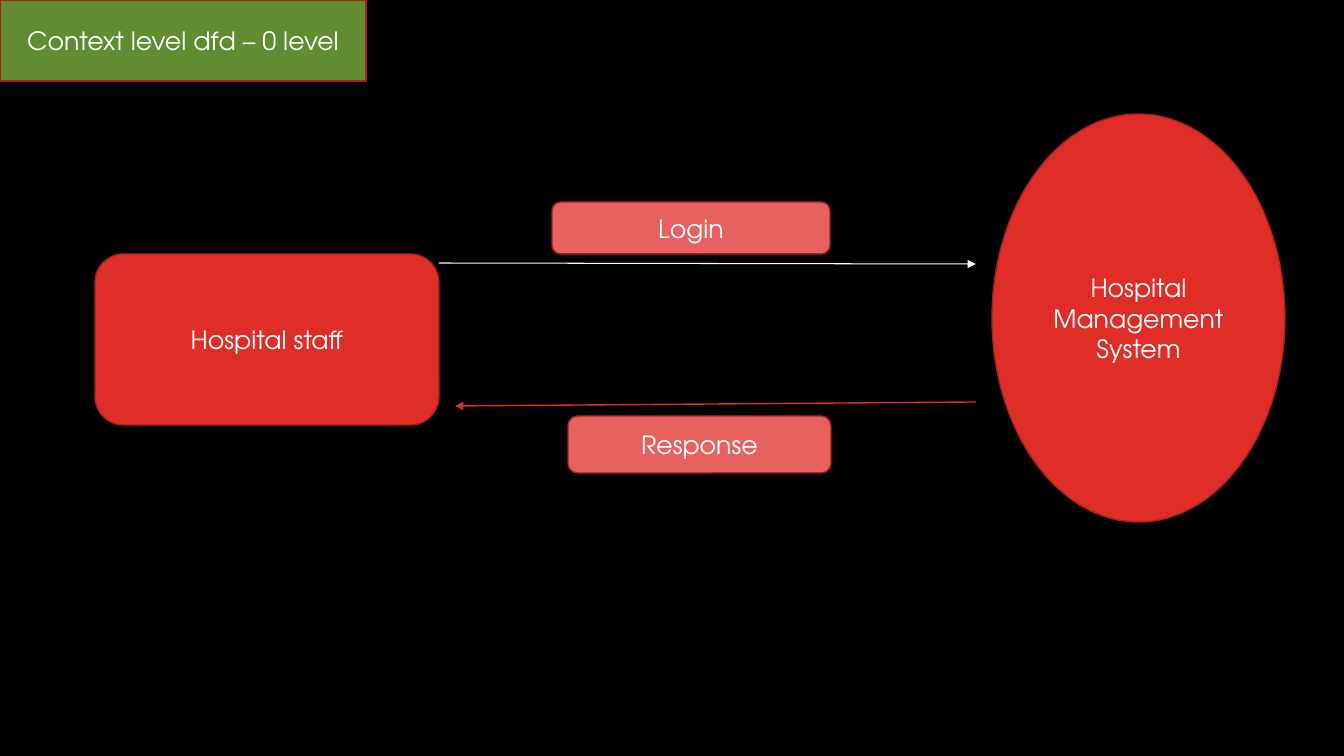
import pptx
import pptx.dml.color
import pptx.enum.shapes
import pptx.enum.text
import pptx.oxml.ns
import pptx.util
from lxml import etree

SHAPES = pptx.enum.shapes.MSO_SHAPE
RED = "DF2E28"
PALE_RED = "E7625E"
DARK_RED = "A5221E"
GREEN = "618C32"
WHITE = "FFFFFF"
BLACK = "000000"


def color(value):
    return pptx.dml.color.RGBColor.from_string(value)


def px(length):
    return round(length * 914400 / 100.8)


class Diagram:
    font_name = "TeX Gyre Adventor"
    font_size = 18

    def __init__(self, presentation):
        self.slide = presentation.slides.add_slide(presentation.slide_layouts[6])
        background = self.slide.background.fill
        background.solid()
        background.fore_color.rgb = color(BLACK)

    def box(self, preset, label, left, top, width, height, fill):
        shape = self.slide.shapes.add_shape(
            preset, px(left), px(top), px(width), px(height))
        shape.shadow.inherit = False
        shape.fill.solid()
        shape.fill.fore_color.rgb = color(fill)
        shape.line.color.rgb = color(DARK_RED)
        shape.line.width = pptx.util.Pt(1)
        frame = shape.text_frame
        frame.text = label
        frame.word_wrap = True
        frame.vertical_anchor = pptx.enum.text.MSO_ANCHOR.MIDDLE
        paragraph = frame.paragraphs[0]
        paragraph.alignment = pptx.enum.text.PP_ALIGN.CENTER
        font = paragraph.runs[0].font
        font.name = self.font_name
        font.size = pptx.util.Pt(self.font_size)
        font.color.rgb = color(WHITE)

    def arrow(self, start, end, stroke, weight):
        connector = self.slide.shapes.add_connector(
            pptx.enum.shapes.MSO_CONNECTOR.STRAIGHT,
            *(px(value) for value in (*start, *end)))
        connector.line.color.rgb = color(stroke)
        connector.line.width = pptx.util.Pt(weight)
        qn = pptx.oxml.ns.qn
        etree.SubElement(connector.line._get_or_add_ln(), qn("a:tailEnd"), type="triangle")
        etree.SubElement(connector._element.spPr, qn("a:effectLst"))


def main():
    presentation = pptx.Presentation()
    presentation.slide_width = px(1344)
    presentation.slide_height = px(756)

    diagram = Diagram(presentation)
    diagram.box(SHAPES.ROUNDED_RECTANGLE, "Hospital staff", 95, 254, 344, 171, RED)
    diagram.box(SHAPES.OVAL, "Hospital Management System", 992, 114, 293, 408, RED)
    diagram.arrow((439, 263), (976, 264), WHITE, 0.75)
    diagram.arrow((976, 402), (455, 406), RED, 1)
    diagram.box(SHAPES.RECTANGLE, "Context level dfd – 0 level", 0, 0, 366, 81, GREEN)
    diagram.box(SHAPES.ROUNDED_RECTANGLE, "Login", 552, 202, 278, 52, PALE_RED)
    diagram.box(SHAPES.ROUNDED_RECTANGLE, "Response", 568, 416, 263, 57, PALE_RED)

    presentation.save("out.pptx")


if __name__ == "__main__":
    main()
